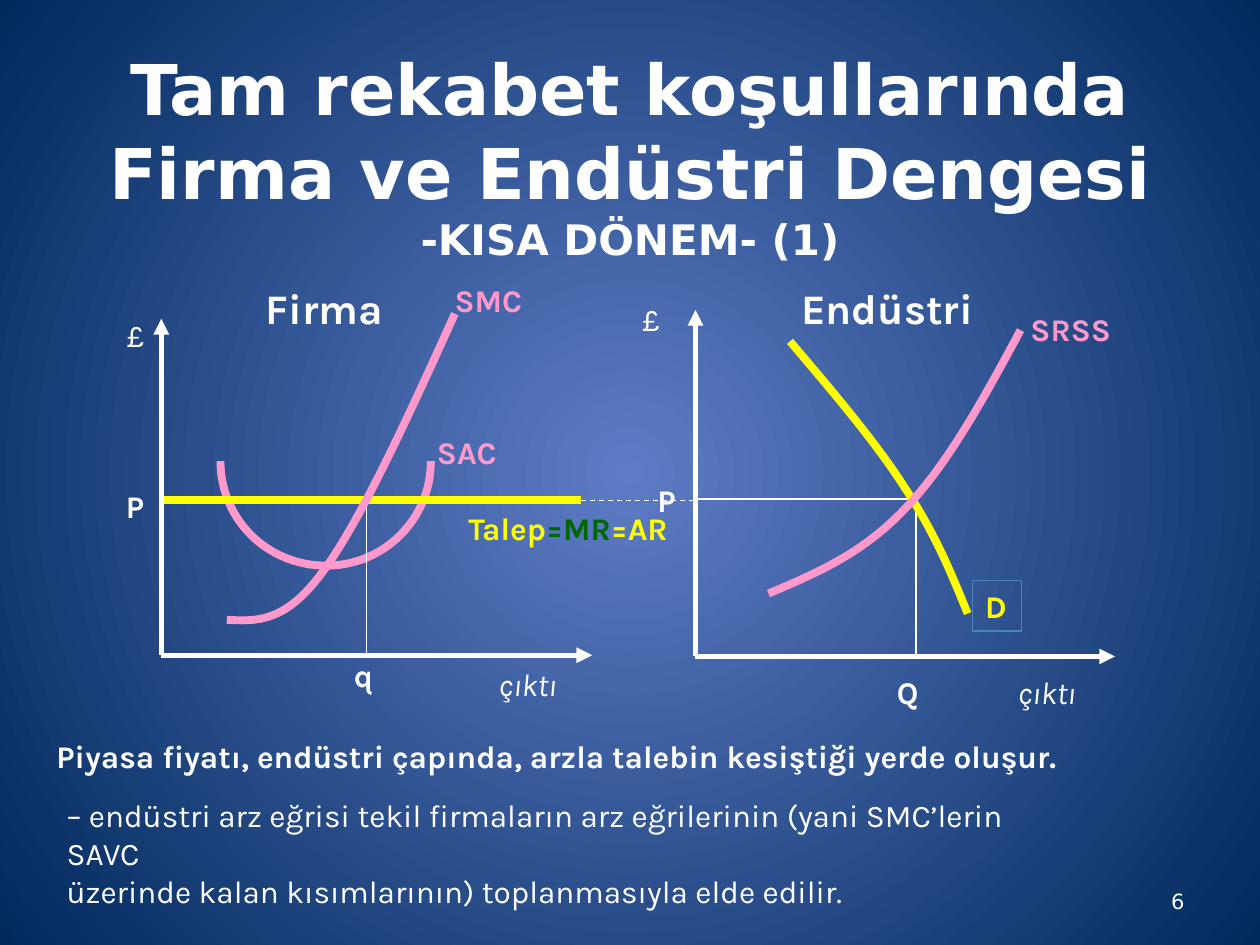
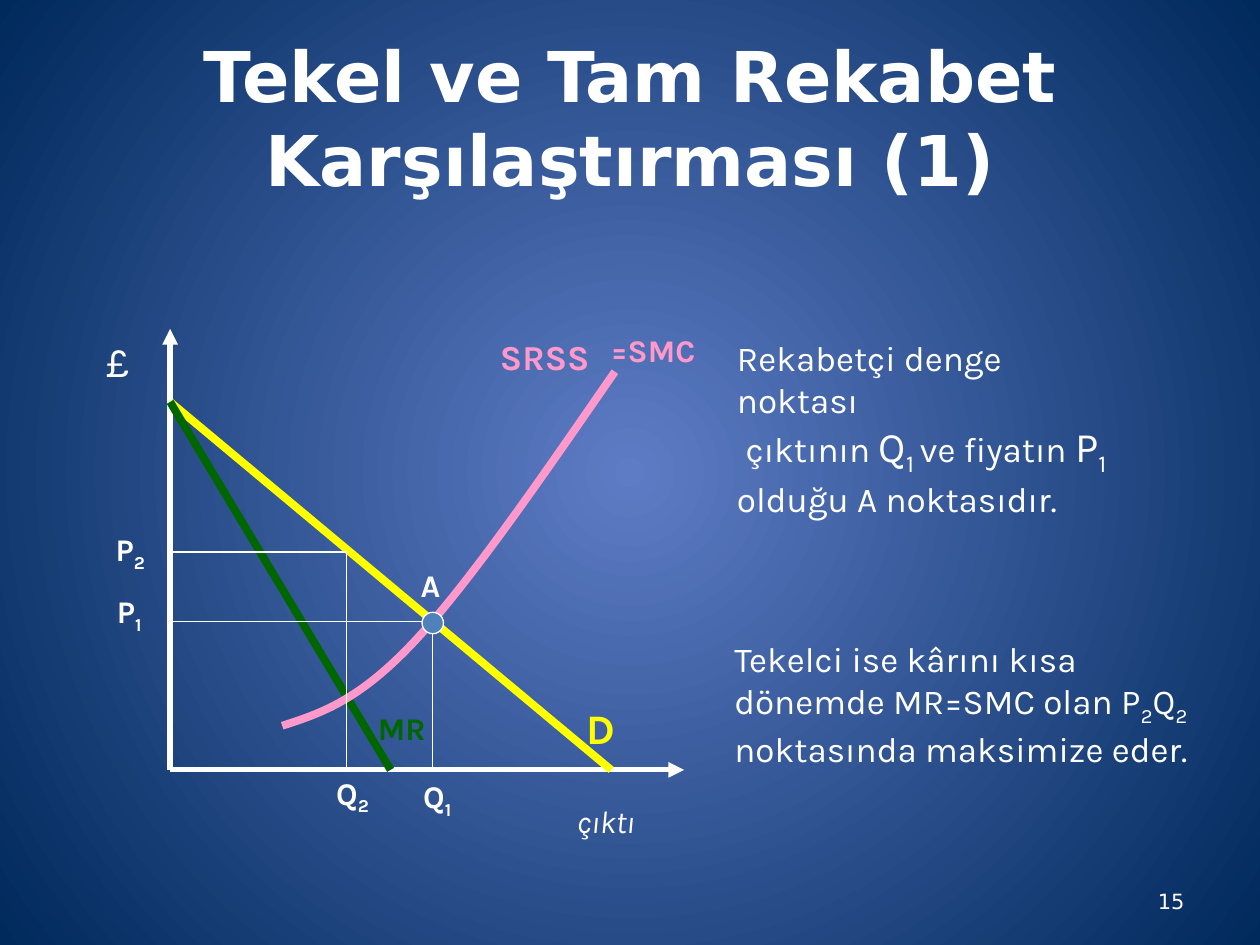
from dataclasses import dataclass

from lxml.etree import SubElement
from pptx import Presentation
from pptx.dml.color import RGBColor
from pptx.enum.dml import MSO_LINE
from pptx.enum.shapes import MSO_CONNECTOR, MSO_SHAPE
from pptx.enum.text import MSO_ANCHOR, MSO_AUTO_SIZE, PP_ALIGN
from pptx.oxml.ns import qn
from pptx.util import Inches, Pt

WHITE = RGBColor(0xFF, 0xFF, 0xFF)
YELLOW = RGBColor(0xFF, 0xFF, 0x00)
PINK = RGBColor(0xFF, 0x99, 0xCC)
GREEN = RGBColor(0x00, 0x66, 0x00)
STEEL = RGBColor(0x4F, 0x81, 0xBD)
GLOW = RGBColor(0x5E, 0x7C, 0xC5)
NAVY = RGBColor(0x00, 0x29, 0x5C)
HEADING_FONT = "DejaVu Sans"
BODY_FONT = "Karla"
COLUMNS, ROWS = 100, 75
THIN, AXIS, BOLD_CURVE = 0.75, 3, 4.5


@dataclass
class Run:
    text: str
    size: float = 18
    color: RGBColor = WHITE
    bold: bool = False
    italic: bool = False
    subscript: bool = False
    font: str = BODY_FONT


class Deck:
    def __init__(self):
        self.presentation = Presentation()
        self.presentation.slide_width = Inches(10)
        self.presentation.slide_height = Inches(7.5)
        self.column = self.presentation.slide_width / COLUMNS
        self.row = self.presentation.slide_height / ROWS
        self.slide = None
        self.paint_background()

    def paint_background(self):
        master = self.presentation.slide_master
        fill = master.background.fill
        fill.gradient()
        for stop, color in zip(fill.gradient_stops, (GLOW, NAVY)):
            stop.color.rgb = color
        gradient = master._element.find(".//" + qn("p:bgPr") + "/" + qn("a:gradFill"))
        gradient.remove(gradient.find(qn("a:lin")))
        circle = SubElement(gradient, qn("a:path"), {"path": "circle"})
        SubElement(circle, qn("a:fillToRect"), dict.fromkeys("ltrb", "50000"))

    def place(self, *lengths):
        units = (self.column, self.row) * 2
        return [round(length * unit) for length, unit in zip(lengths, units)]

    def new_slide(self, number, title_box, title_lines):
        self.slide = self.presentation.slides.add_slide(self.presentation.slide_layouts[6])
        title = self.text(title_box, [[Run(line, size, bold=True, font=HEADING_FONT)]
                                      for line, size in title_lines],
                          PP_ALIGN.CENTER, MSO_ANCHOR.MIDDLE)
        page = self.text((71.7, 69.5, 23.3, 4), [[Run(number, 12, font=HEADING_FONT)]],
                         PP_ALIGN.RIGHT, MSO_ANCHOR.MIDDLE)
        for shape in (title, page):
            shape.text_frame.auto_size = MSO_AUTO_SIZE.NONE

    def text(self, box, paragraphs, align=PP_ALIGN.LEFT, anchor=MSO_ANCHOR.TOP, wrap=True):
        shape = self.slide.shapes.add_textbox(*self.place(*box))
        frame = shape.text_frame
        frame.word_wrap = wrap
        frame.vertical_anchor = anchor
        frame.auto_size = MSO_AUTO_SIZE.SHAPE_TO_FIT_TEXT
        for index, runs in enumerate(paragraphs):
            paragraph = frame.add_paragraph() if index else frame.paragraphs[0]
            paragraph.alignment = align
            for piece in runs:
                self.add_run(paragraph, piece)
        return shape

    def add_run(self, paragraph, piece):
        run = paragraph.add_run()
        run.text = piece.text
        font = run.font
        font.name, font.size = piece.font, Pt(piece.size)
        font.bold, font.italic = piece.bold, piece.italic
        font.color.rgb = piece.color
        if piece.subscript:
            font._element.set("baseline", "-25000")

    def label(self, left, top, width, *runs):
        height = round(runs[0].size * 0.22, 1)
        return self.text((left, top, width, height), [runs], wrap=False)

    def name(self, left, top, width, text, color=WHITE, size=18, subscript=""):
        runs = [Run(text, size, color, bold=True)]
        if subscript:
            runs.append(Run(subscript, size, color, bold=True, subscript=True))
        return self.label(left, top, width, *runs)

    def line(self, start, end, color=WHITE, width=THIN, arrow=False, dashed=False):
        connector = self.slide.shapes.add_connector(
            MSO_CONNECTOR.STRAIGHT, *self.place(*start, *end))
        connector.line.color.rgb = color
        connector.line.width = Pt(width)
        if dashed:
            connector.line.dash_style = MSO_LINE.DASH
        if arrow:
            SubElement(connector.line._get_or_add_ln(), qn("a:tailEnd"), {"type": "triangle"})
        SubElement(connector._element.spPr, qn("a:effectLst"))

    def axes(self, origin, right, top):
        self.line(origin, (right, origin[1]), width=AXIS, arrow=True)
        self.line(origin, (origin[0], top), width=AXIS, arrow=True)

    def curve(self, start, *controls):
        builder = self.slide.shapes.build_freeform(*self.place(*start))
        builder.add_line_segments([self.place(*point) for point in controls], close=False)
        shape = builder.convert_to_shape()
        shape.shadow.inherit = False
        shape.fill.background()
        shape.line.color.rgb = PINK
        shape.line.width = Pt(BOLD_CURVE)
        outline = shape._element.find(".//" + qn("a:path"))
        segments = outline.findall(qn("a:lnTo"))
        for first in range(0, len(segments), 3):
            bezier = SubElement(outline, qn("a:cubicBezTo"))
            for segment in segments[first:first + 3]:
                bezier.append(segment[0])
                outline.remove(segment)
        return shape

    def dot(self, left, top, size):
        shape = self.slide.shapes.add_shape(MSO_SHAPE.OVAL, *self.place(left, top, size, size))
        shape.shadow.inherit = False
        shape.fill.solid()
        shape.fill.fore_color.rgb = STEEL
        shape.line.color.rgb = WHITE
        shape.line.width = Pt(THIN)


def draw_industry(deck):
    origin, price, quantity = (55.2, 52.1), 39.6, 72.7
    deck.text((62.6, 17.8, 16.1, 9.1), [[Run("Endüstri", 24, bold=True)]],
              anchor=MSO_ANCHOR.BOTTOM, wrap=False)
    deck.line((quantity, 40.4), (quantity, origin[1]))
    deck.line((quantity, price), (origin[0], price))
    deck.axes(origin, 88.5, 24.6)
    demand = deck.curve((62.7, 27.1), (66.1, 31.1), (69.5, 35.1), (71.8, 38.7),
                        (74.2, 42.3), (75.5, 45.5), (76.8, 48.7))
    demand.line.color.rgb = YELLOW
    deck.curve((61, 47.1), (64.8, 45.5), (68.5, 43.9), (71.8, 40.4),
               (75.2, 36.9), (78.1, 31.6), (81, 26.2))
    deck.label(79.8, 52.9, 6.6, Run("çıktı", italic=True))
    deck.label(50, 23.3, 3.4, Run("£"))
    deck.name(70.2, 52.9, 4, "Q")
    deck.name(51.2, 37.7, 3.7, "P")
    deck.name(80.8, 24.1, 8.8, "SRSS", PINK)
    boxed = deck.name(77.2, 46.1, 3.9, "D", YELLOW)
    boxed.line.color.rgb = STEEL
    boxed.line.width = Pt(THIN)


def draw_firm(deck):
    origin, price, quantity = (12.8, 52), 39.7, 29.1
    deck.text((20.1, 17.8, 11.7, 9.1), [[Run("Firma", 24, bold=True)]],
              anchor=MSO_ANCHOR.BOTTOM, wrap=False)
    deck.curve((17.5, 36.6), (17.5, 41.2), (21.2, 44.9), (25.9, 44.9),
               (30.5, 44.9), (34.2, 41.2), (34.2, 36.6))
    deck.line((quantity, 39.5), (quantity, origin[1]))
    deck.name(33.7, 33.9, 7.3, "SAC", PINK)
    deck.line((origin[0], price), (46.1, price), YELLOW, BOLD_CURVE)
    deck.line((46.1, price), (55.3, price), dashed=True)
    deck.name(9, 38.2, 3.7, "P")
    deck.label(9.1, 24.6, 3.4, Run("£"))
    deck.label(38.6, 52.3, 6.6, Run("çıktı", italic=True))
    deck.curve((18, 49.2), (20.3, 49.3), (22.6, 49.5), (25.6, 45.4),
               (28.6, 41.4), (32.4, 33.1), (36.1, 24.9))
    deck.name(35.1, 21.8, 7.6, "SMC", PINK)
    deck.label(36.2, 39.9, 20.7, *[Run(text, color=color, bold=True) for text, color in
                                   (("Talep", YELLOW), ("=MR", GREEN), ("=AR", YELLOW))])
    deck.name(27.1, 51.6, 3.5, "q")
    deck.axes(origin, 47, 25.3)


def build_short_run(deck):
    deck.new_slide("6", (7.5, 6, 85, 12.5),
                   [("Tam rekabet koşullarında Firma ve Endüstri Dengesi", 40),
                    ("-KISA DÖNEM- (1)", 24)])
    draw_industry(deck)
    draw_firm(deck)
    deck.name(3.5, 58, 86, "Piyasa fiyatı, endüstri çapında, arzla talebin kesiştiği yerde oluşur.")
    deck.text((4.3, 62.7, 81.5, 10), [
        [Run("– endüstri arz eğrisi tekil firmaların arz eğrilerinin (yani SMC’lerin SAVC")],
        [Run("üzerinde kalan kısımlarının) toplanmasıyla elde edilir.")]])


def build_monopoly(deck):
    deck.new_slide("15", (5, 3, 90, 12.5), [("Tekel ve Tam Rekabet Karşılaştırması (1)", 40)])
    origin, intercept = (13.5, 61.1), (13.5, 31.9)
    deck.axes(origin, 54.3, 26.1)
    for end, color in ((48.5, YELLOW), (31, GREEN)):
        deck.line(intercept, (end, origin[1]), color, BOLD_CURVE)
    deck.curve((22.4, 57.6), (25.5, 56.6), (28.5, 55.6), (32.9, 50.9),
               (37.3, 46.2), (43, 37.9), (48.8, 29.5))
    for quantity, price in ((34.3, 49.3), (27.5, 43.8)):
        deck.line((quantity, price), (quantity, origin[1]))
        deck.line((quantity, price), (origin[0], price))
    deck.dot(33.5, 48.6, 1.7)
    deck.label(44.8, 63.2, 6.6, Run("çıktı", italic=True))
    deck.label(7.5, 26.1, 3.9, Run("£", 24))
    deck.name(45.6, 55.3, 4.6, "D", YELLOW, 24)
    deck.name(29, 55.8, 5.9, "MR", GREEN)
    deck.name(38.7, 26.1, 9.6, "SRSS", PINK, 20)
    deck.name(47.5, 25.8, 9, "=SMC", PINK)
    deck.name(32.4, 44.4, 3.8, "A")
    for left, top, width, letter, index in ((32.6, 61.2, 4.9, "Q", "1"), (25.7, 60.9, 4.9, "Q", "2"),
                                            (8.3, 46.5, 4.6, "P", "1"), (8.2, 41.6, 4.6, "P", "2")):
        deck.name(left, top, width, letter, subscript=index)
    competition = deck.text((57.5, 26.2, 32.9, 15), [
        [Run("Rekabetçi denge noktası", 20)],
        [Run("çıktının ", 20), Run("Q", 24), Run("1 ", 24, subscript=True),
         Run("ve fiyatın ", 20), Run("P", 24), Run("1", 24, subscript=True)],
        [Run("olduğu A noktasıdır.", 20)]])
    competition.text_frame.paragraphs[1]._p.get_or_add_pPr().set("marL", str(Inches(0.07)))
    deck.text((57.3, 50.1, 39.7, 11.1), [
        [Run("Tekelci ise kârını kısa", 20)],
        [Run("dönemde MR=SMC olan P", 20), Run("2", 20, subscript=True),
         Run("Q", 20), Run("2", 20, subscript=True)],
        [Run("noktasında maksimize eder.", 20)]])


deck = Deck()
build_short_run(deck)
build_monopoly(deck)
deck.presentation.save("out.pptx")
